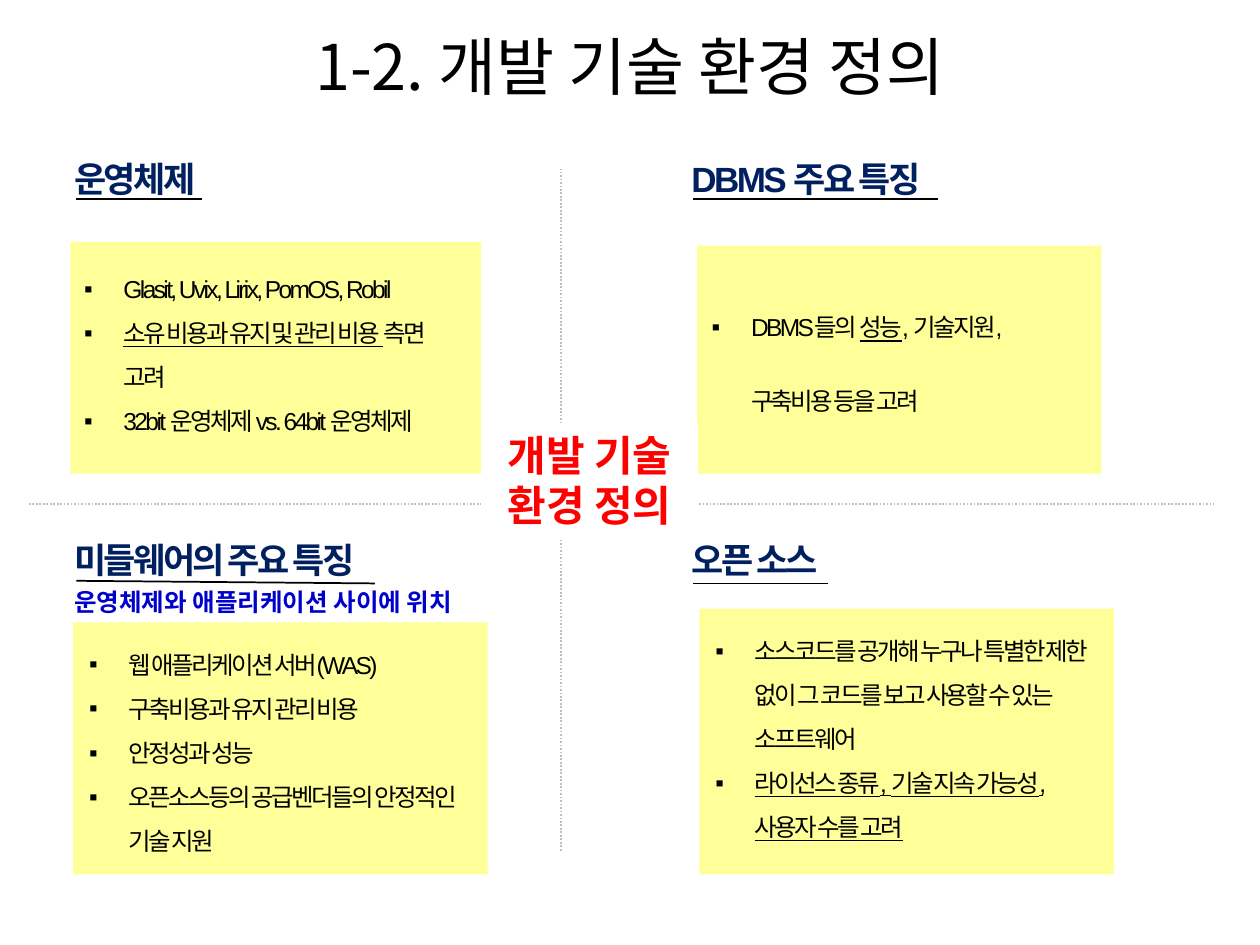
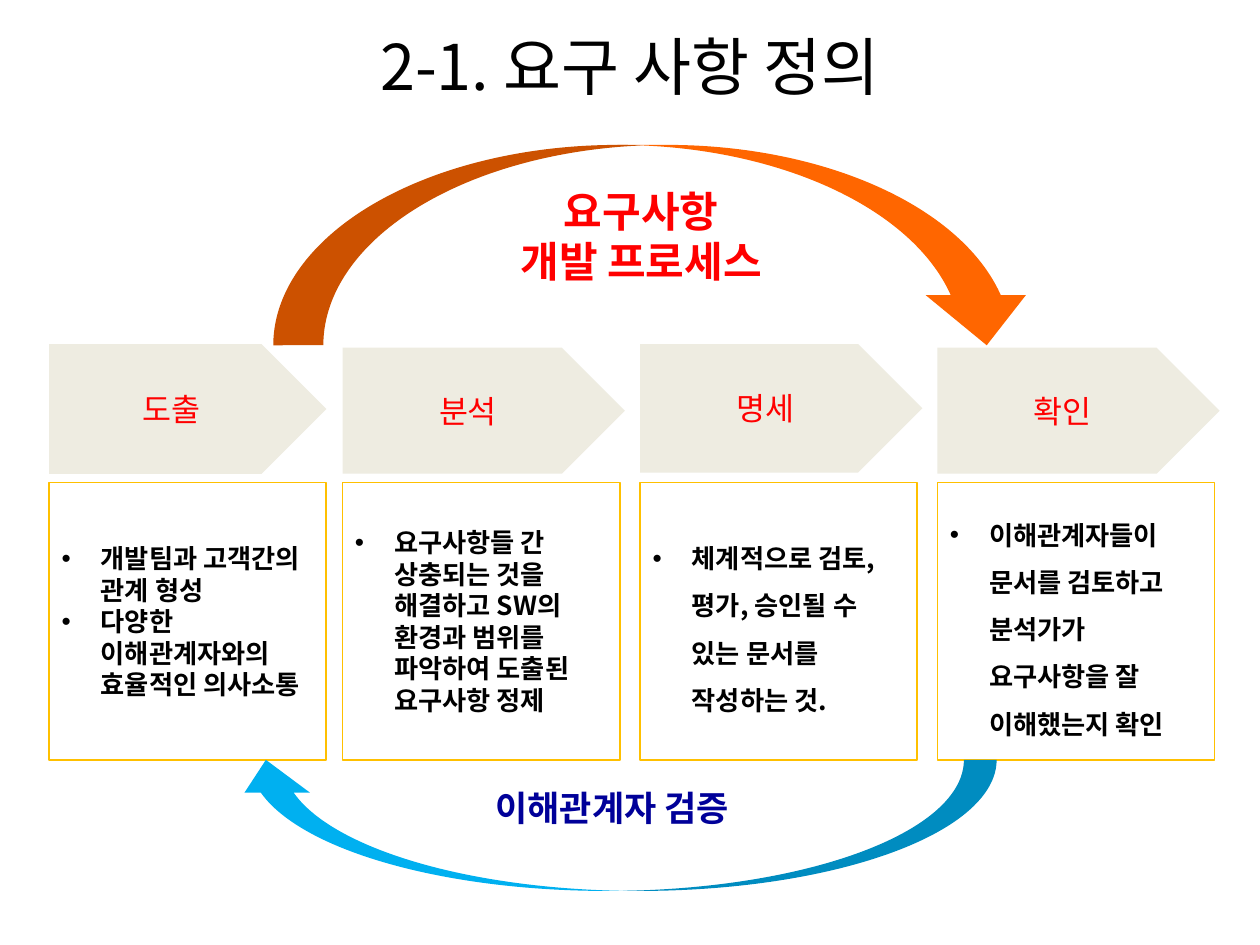
import dataclasses
import pptx
import pptx.util
import pptx.dml.color
import pptx.enum.dml
import pptx.enum.shapes
import pptx.enum.text
import pptx.oxml
import pptx.oxml.ns

Pt = pptx.util.Pt
KIND = pptx.enum.shapes.MSO_SHAPE
LINE = pptx.enum.shapes.MSO_CONNECTOR.STRAIGHT
DASH = pptx.enum.dml.MSO_LINE.ROUND_DOT
SIDE = pptx.enum.text.PP_ALIGN
SPOT = pptx.enum.text.MSO_ANCHOR
FIT = pptx.enum.text.MSO_AUTO_SIZE.SHAPE_TO_FIT_TEXT


@dataclasses.dataclass(frozen=True)
class Theme:
    sans: str = "Arial"
    hangul: str = "Noto Sans CJK KR"
    black: str = "000000"
    white: str = "FFFFFF"
    navy: str = "002060"
    blue: str = "0000CC"
    deep: str = "000099"
    sky: str = "00B0F0"
    red: str = "FF0000"
    flame: str = "FF6600"
    gold: str = "FFC000"
    lemon: str = "FFFF99"
    sand: str = "EEECE1"
    gray: str = "BFBFBF"
    title: int = 36
    hub: int = 24
    head: int = 20
    step: int = 18
    card: int = 15
    item: int = 14


T = Theme()


def style(size, color, name=T.hangul, bold=False, track=0):
    return {"font": {"size": Pt(size), "name": name, "bold": bold},
            "color": color, "track": track}


TITLE = style(T.title, T.black)
HEAD = style(T.head, T.navy, T.sans, True, -150)
NOTE = style(T.item, T.blue, T.sans, True)
ITEM = style(T.item, T.black, T.sans, track=-150)
HUB = style(T.hub, T.red, T.sans, True)
STEP = style(T.step, T.red)
CARD = style(T.card, T.black, bold=True)
LOOP = style(T.hub, T.red, bold=True)
CHECK = style(T.head, T.deep, bold=True)


def rgb(code):
    return pptx.dml.color.RGBColor.from_string(code)


def apply(obj, values):
    for key, value in values.items():
        setattr(obj, key, value)


def add_tag(parent, tag, **values):
    node = pptx.oxml.parse_xml(f"<a:{tag} {pptx.oxml.ns.nsdecls('a')}/>")
    for key, value in values.items():
        node.set(key, value)
    parent.append(node)


def write(shape, paras, look, bullet=None, align=SIDE.LEFT, space=None,
          anchor=SPOT.TOP, wrap=True, grow=False):
    frame = shape.text_frame
    apply(frame, {"word_wrap": wrap, "vertical_anchor": anchor})
    if grow:
        frame.auto_size = FIT
    for i, runs in enumerate(paras):
        para = frame.add_paragraph() if i else frame.paragraphs[0]
        apply(para, {"alignment": align, "line_spacing": space})
        if bullet:
            props = para._p.get_or_add_pPr()
            props.set("marL", str(Pt(22.5)))
            props.set("indent", str(-Pt(22.5)))
            add_tag(props, "buFont", typeface=T.sans)
            add_tag(props, "buChar", char=bullet)
        for text, under in [(runs, False)] if isinstance(runs, str) else runs:
            run = para.add_run()
            run.text = text
            apply(run.font, {**look["font"], "underline": under})
            run.font.color.rgb = rgb(look["color"])
            props = run._r.get_or_add_rPr()
            props.set("spc", str(look["track"]))
            add_tag(props, "ea", typeface=T.hangul)


def label(slide, box, paras, look, **form):
    shape = slide.shapes.add_textbox(*map(Pt, box))
    write(shape, paras, look, **form)


def block(slide, box, fill, kind=KIND.RECTANGLE, edge=None):
    shape = slide.shapes.add_shape(kind, *map(Pt, box))
    shape.shadow.inherit = False
    shape.fill.solid()
    shape.fill.fore_color.rgb = rgb(fill)
    if edge:
        shape.line.color.rgb = rgb(edge)
        shape.line.width = Pt(1)
    else:
        shape.line.fill.background()
    return shape


def rule(slide, ends, color, dash=None):
    line = slide.shapes.add_connector(LINE, *map(Pt, ends))
    line.line.color.rgb = rgb(color)
    apply(line.line, {"width": Pt(1), "dash_style": dash})
    add_tag(line._element.spPr, "effectLst")


def start(deck, title):
    slide = deck.slides.add_slide(deck.slide_layouts[6])
    label(slide, (8.6, 3.6, 702.7, 67.7), [title], TITLE,
          align=SIDE.CENTER, anchor=SPOT.MIDDLE)
    return slide


def topic(slide, box, head, wide, bar, panel, inset, items, space=1.5, note=None):
    x, y = box
    left, top, width, height = panel
    dx, dy, trim = inset
    panel = (x + left, y + top, width, height)
    block(slide, panel, T.lemon)
    label(slide, (x, y, wide, 24.5), [head], HEAD, space=0.7, wrap=False, grow=True)
    from_y, to_y, length = bar
    rule(slide, (x + 8.3, y + from_y, x + 8.3 + length, y + to_y), T.black)
    if note:
        label(slide, (x, y + 21.6, 255.6, 24.5), [note], NOTE, wrap=False, grow=True)
    label(slide, (panel[0] + dx, panel[1] + dy, width - trim, height - 2 * dy),
          items, ITEM, bullet="▪", space=space, grow=True)


def hub(slide, box):
    x, y, width, height = box
    rule(slide, (x, y + 191.5, x + width, y + 191.5), T.gray, DASH)
    rule(slide, (x + 303.8, y + height, x + 303.8, y), T.gray, DASH)
    core = block(slide, (x + 258.4, y + 145.4, 123.8, 65.5), T.white)
    write(core, ["개발 기술 환경 정의"], HUB, align=SIDE.CENTER, grow=True)


def tech(deck):
    slide = start(deck, "1-2. 개발 기술 환경 정의")
    left, right, upper, lower = 35.3, 388, 92.9, 310.5
    topic(slide, (left, upper), "운영체제", 89.3, (20.9, 20.9, 72),
          (5, 45.3, 234.7, 132.5), (0.7, 6.5, 2.1),
          ["Glasit, Uvix, Lirix, PomOS, Robil",
           [("소유 비용과 유지 및 관리 비용 ", True), ("측면 고려", False)],
           "32bit 운영체제 vs. 64bit 운영체제"])
    topic(slide, (right, upper), "DBMS 주요 특징", 153.4, (20.9, 20.9, 139.7),
          (10.2, 47.5, 231.1, 130.3), (1.4, 9.4, 12.9),
          [[("DBMS들의 ", False), ("성능", True),
            (", 기술지원, 구축비용 등을 고려", False)]], space=2.5)
    topic(slide, (left, lower), "미들웨어의 주요 특징", 193.7, (21.4, 22.9, 170.6),
          (6.5, 45.2, 236.9, 144), (2.1, 3.6, 2.2),
          ["웹 애플리케이션 서버(WAS)", "구축비용과 유지 관리 비용", "안정성과 성능",
           "오픈소스등의 공급벤더들의 안정적인 기술 지원"],
          note="운영체제와 애플리케이션 사이에 위치")
    topic(slide, (right, lower), "오픈 소스", 95, (22.9, 22.9, 77),
          (11.6, 37.3, 236.9, 151.9), (2.1, 3.6, 2.2),
          ["소스코드를 공개해 누구나 특별한 제한 없이 그 코드를 보고 사용할 수 있는 소프트웨어",
           [("라이선스 종류, 기술 지속 가능성, 사용자 수를 고려", True)]])
    hub(slide, (16.6, 96.5, 676.8, 389.5))


def stage(slide, box, name, items, space, plate):
    x, y, width, height = box
    dy, wide, tall = plate
    tip = block(slide, (x, y + dy, wide, tall), T.sand, KIND.PENTAGON)
    write(tip, [name], STEP, align=SIDE.CENTER, anchor=SPOT.MIDDLE)
    card = block(slide, (x, y + 79.2, width, height - 79.2), T.white, edge=T.gold)
    write(card, items, CARD, bullet="•", space=space, anchor=SPOT.MIDDLE)


def sweep(slide, box, fill, turn, words, look, place):
    x, y = box[:2]
    dx, dy, wide, tall = place
    arrow = block(slide, box, fill, KIND.CURVED_DOWN_ARROW)
    arrow.rotation = turn
    label(slide, (x + dx, y + dy, wide, tall), words, look,
          align=SIDE.CENTER, grow=True)


def needs(deck):
    slide = start(deck, "2-1. 요구 사항 정의")
    stages = [
        (28.1, "도출", ["개발팀과 고객간의 관계 형성",
                      "다양한 이해관계자와의 효율적인 의사소통"], None, (0, 158.4, 74.2)),
        (195.8, "분석", ["요구사항들 간 상충되는 것을 해결하고 SW의 환경과 범위를 "
                       "파악하여 도출된 요구사항 정제"], None, (2.1, 161.3, 72)),
        (365.8, "명세", ["체계적으로 검토, 평가, 승인될 수 있는 문서를 작성하는 것."],
         1.5, (0, 161.3, 73.4)),
        (535.7, "확인", ["이해관계자들이 문서를 검토하고 분석가가 요구사항을 잘 "
                       "이해했는지 확인"], 1.5, (2.1, 161.3, 72)),
    ]
    for x, *rest in stages:
        stage(slide, (x, 196.6, 158.4, 237.6), *rest)
    sweep(slide, (156.2, 82.8, 436.3, 114.5), T.flame, 0,
          ["요구사항", "개발 프로세스"], LOOP, (85.7, 19.4, 249.1, 65.5))
    sweep(slide, (133.2, 434.2, 436.3, 74.9), T.sky, 180,
          ["이해관계자 검증"], CHECK, (92.2, 11.5, 249.1, 31.7))


def main():
    deck = pptx.Presentation()
    apply(deck, {"slide_width": Pt(720), "slide_height": Pt(540)})
    tech(deck)
    needs(deck)
    deck.save("out.pptx")


if __name__ == "__main__":
    main()
